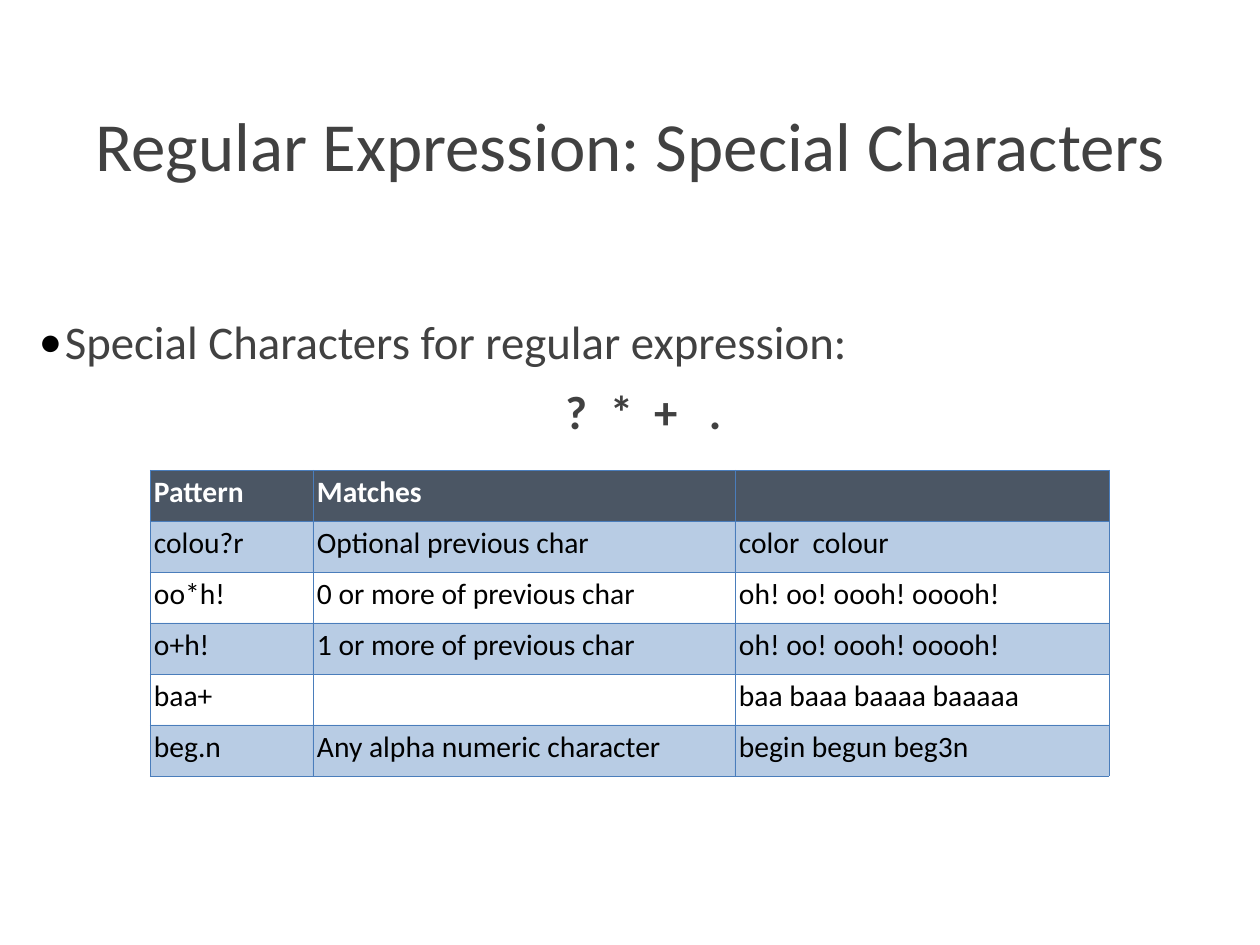
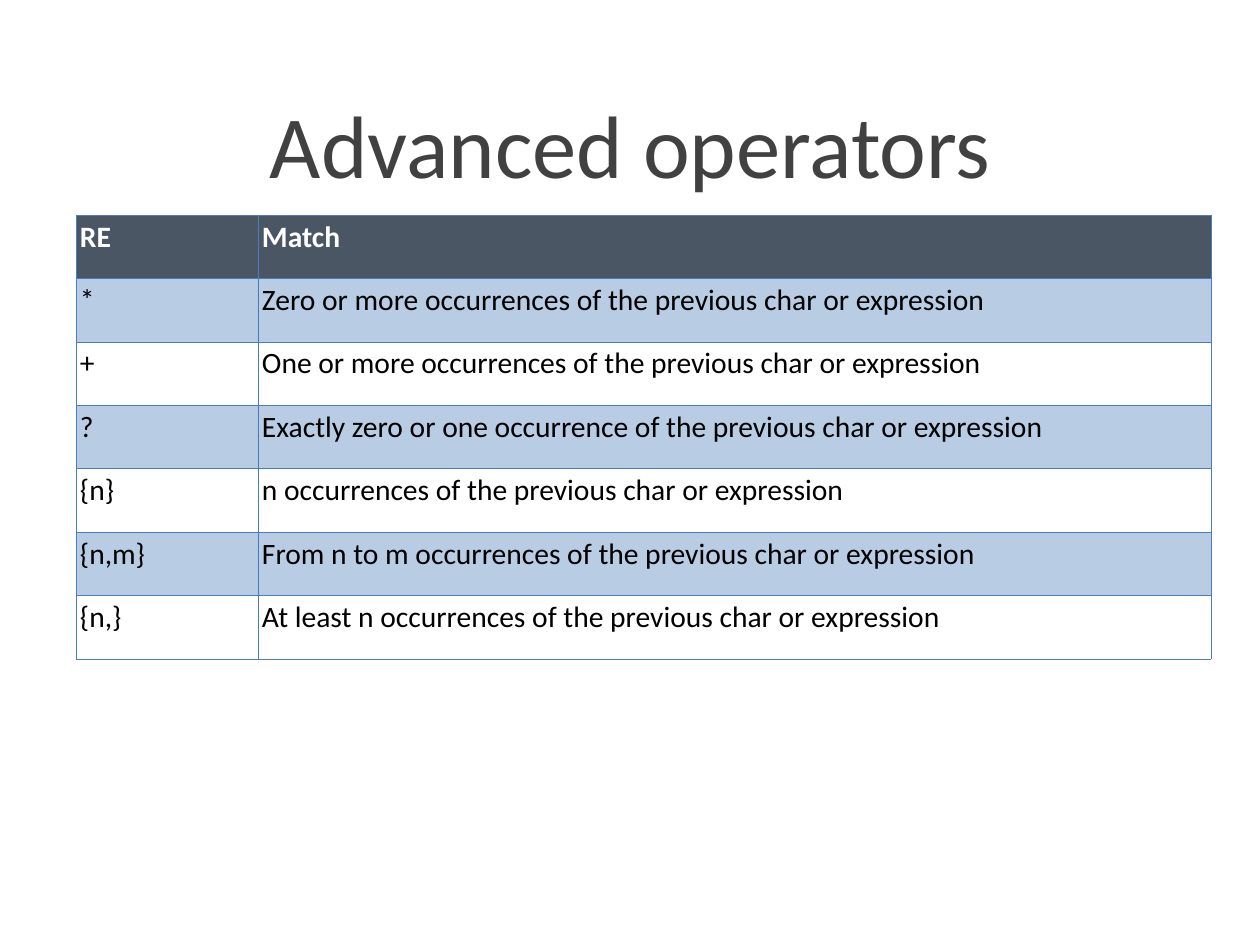
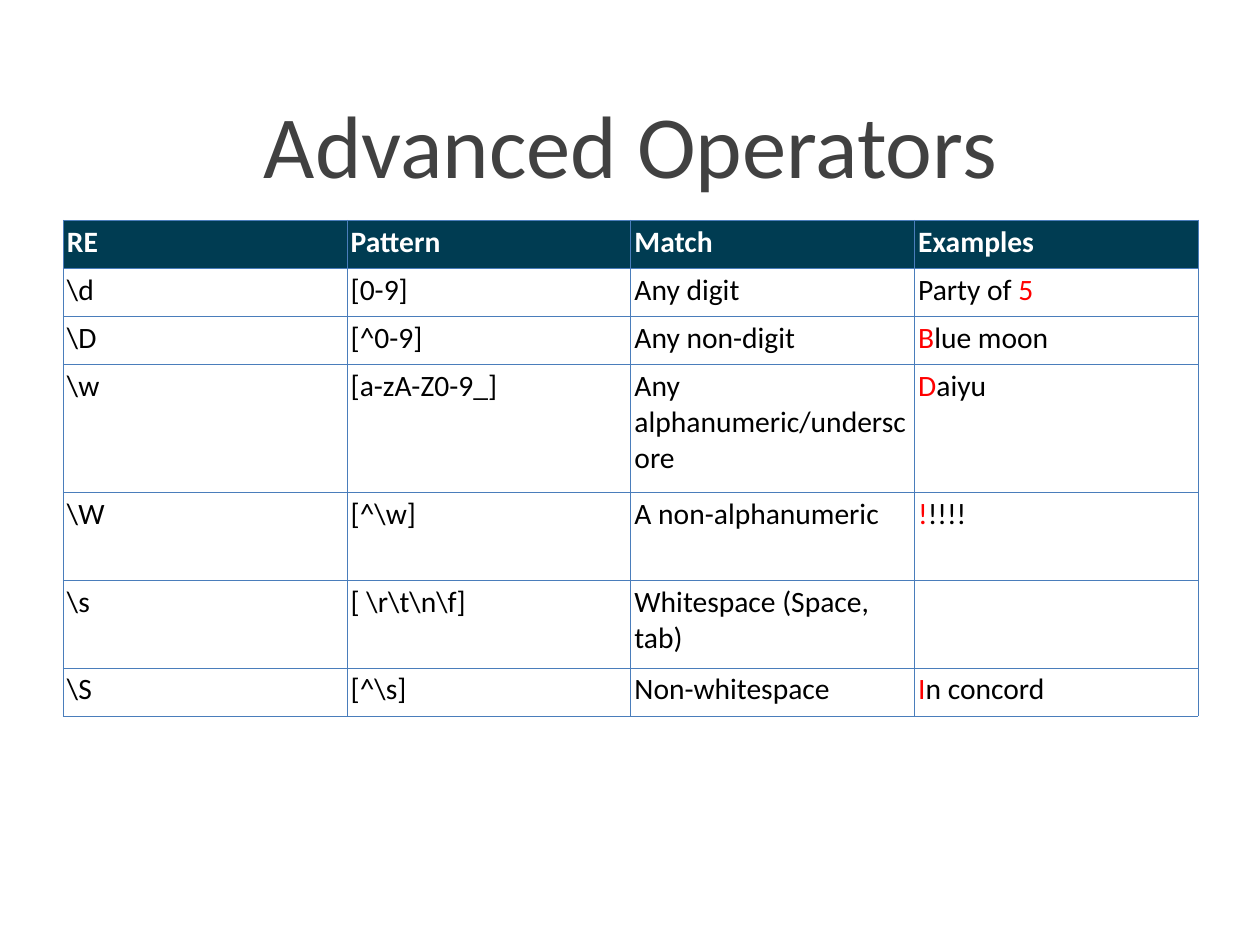
import dataclasses

import lxml.etree
import pptx
import pptx.dml.color
import pptx.enum.text
import pptx.oxml
import pptx.oxml.ns
import pptx.util

PX = 10320  # EMU per px
RGB = pptx.dml.color.RGBColor.from_string
qn = pptx.oxml.ns.qn


@dataclasses.dataclass(frozen=True)
class Theme:
    font: str = "Calibri"
    heading: str = "414141"
    ink: str = "000000"
    header_ink: str = "FFFFFF"
    match: str = "FF0000"
    slate: str = "4B5664"
    navy: str = "003C52"
    band: str = "4F81BD"
    band_alpha: int = 40000
    border: str = "4A7DBB"
    border_pt: float = 0.34
    long_title_pt: int = 56
    title_pt: int = 72
    body_pt: int = 38
    table_pt: int = 24
    inset: int = 4 * PX


theme = Theme()
prs = pptx.Presentation()
prs.slide_width, prs.slide_height = 1260 * PX, 945 * PX


def add_run(paragraph, text, size, color, bold=False):
    run = paragraph.add_run()
    run.text = text
    run.font.name = theme.font
    run.font.size = pptx.util.Pt(size)
    run.font.bold = bold
    run.font.color.rgb = RGB(color)


def add_grid(slide, left, top, widths, heights, rows, header_fill, banded):
    table = slide.shapes.add_table(
        len(rows), len(widths), left * PX, top * PX,
        round(sum(widths) * PX), round(sum(heights) * PX)).table
    table.first_row = table.horz_banding = False
    for column, width in zip(table.columns, widths):
        column.width = round(width * PX)
    for r, (row, height) in enumerate(zip(rows, heights)):
        table.rows[r].height = round(height * PX)
        ink = theme.ink if r else theme.header_ink
        for c, content in enumerate(row):
            cell = table.cell(r, c)
            cell.margin_left = cell.margin_right = theme.inset
            cell.margin_top = cell.margin_bottom = theme.inset
            # Plain text is one run; a list gives (text, colour) runs
            runs = [(content, ink)] if isinstance(content, str) else content
            for text, color in runs:
                if text:
                    add_run(cell.text_frame.paragraphs[0], text, theme.table_pt, color, r == 0)
            # Fill: header, translucent band or none
            if r and not (banded and r % 2):
                cell.fill.background()
            else:
                cell.fill.solid()
                cell.fill.fore_color.rgb = RGB(theme.band if r else header_fill)
            properties = cell._tc.get_or_add_tcPr()
            if r and banded and r % 2:
                color_element = properties.find(".//" + qn("a:srgbClr"))
                lxml.etree.SubElement(color_element, qn("a:alpha"), val=str(theme.band_alpha))
            # Borders come before the fill
            for position, side in enumerate(("lnL", "lnR", "lnT", "lnB")):
                line = lxml.etree.Element(
                    qn("a:" + side), w=str(pptx.util.Pt(theme.border_pt)))
                solid = lxml.etree.SubElement(line, qn("a:solidFill"))
                lxml.etree.SubElement(solid, qn("a:srgbClr"), val=theme.border)
                properties.insert(position, line)


# Slides and their titles
slides = []
for heading, size in (
        ("Regular Expression: Special Characters", theme.long_title_pt),
        ("Advanced operators", theme.title_pt),
        ("Advanced Operators", theme.title_pt)):
    slide = prs.slides.add_slide(prs.slide_layouts[5])
    title = slide.shapes.title
    title.left, title.top, title.width, title.height = 35 * PX, 25 * PX, 1191 * PX, 237 * PX
    frame = title.text_frame
    frame.auto_size = pptx.enum.text.MSO_AUTO_SIZE.NONE
    frame.vertical_anchor = pptx.enum.text.MSO_ANCHOR.MIDDLE
    frame.margin_left = frame.margin_right = theme.inset
    frame.margin_top = frame.margin_bottom = theme.inset
    frame.paragraphs[0].alignment = pptx.enum.text.PP_ALIGN.CENTER
    add_run(frame.paragraphs[0], heading, size, theme.heading)
    slides.append(slide)
special_slide, operators_slide, classes_slide = slides

# Special characters: bullet and the characters below it
body = special_slide.shapes.add_textbox(35 * PX, 309 * PX, 1191 * PX, 566 * PX).text_frame
body.word_wrap = True
body.margin_left = body.margin_right = theme.inset
body.margin_top = body.margin_bottom = theme.inset
intro = body.paragraphs[0]
characters = body.add_paragraph()
for paragraph in (intro, characters):
    properties = paragraph._p.get_or_add_pPr()
    properties.set("marL", str(26 * PX))
    properties.set("indent", str(-26 * PX))

properties = intro._p.get_or_add_pPr()
bullet_color = lxml.etree.SubElement(properties, qn("a:buClr"))
lxml.etree.SubElement(bullet_color, qn("a:srgbClr"), val=theme.ink)
lxml.etree.SubElement(properties, qn("a:buFont"), typeface=theme.font)
lxml.etree.SubElement(properties, qn("a:buChar"), char="•")
add_run(intro, "Special Characters for regular expression:", theme.body_pt, theme.heading)

tab_stops = lxml.etree.SubElement(characters._p.get_or_add_pPr(), qn("a:tabLst"))
for inch in range(8):
    lxml.etree.SubElement(tab_stops, qn("a:tab"), pos=str(pptx.util.Inches(inch)), algn="l")
characters.alignment = pptx.enum.text.PP_ALIGN.CENTER
characters.space_before = pptx.util.Pt(11)
add_run(characters, "\t? \t* \t+\t .", theme.body_pt, theme.heading, True)

# Special characters: patterns
add_grid(special_slide, 150, 470, [163, 422, 374], [51] * 6, [
    ("Pattern", "Matches", ""),
    ("colou?r", "Optional previous char", "color  colour"),
    ("oo*h!", "0 or more of previous char", "oh! oo! oooh! ooooh!"),
    ("o+h!", "1 or more of previous char", "oh! oo! oooh! ooooh!"),
    ("baa+", "", "baa baaa baaaa baaaaa"),
    ("beg.n", "Any alpha numeric character", "begin begun beg3n"),
], theme.slate, True)

# Advanced operators: repetition counts
add_grid(operators_slide, 76, 215, [182, 953], [444 / 7] * 7, [
    ("RE", "Match"),
    ("*", "Zero or more occurrences of the previous char or expression"),
    ("+", "One or more occurrences of the previous char or expression"),
    ("?", "Exactly zero or one occurrence of the previous char or expression"),
    ("{n}", "n occurrences of the previous char or expression"),
    ("{n,m}", "From n to m occurrences of the previous char or expression"),
    ("{n,}", "At least n occurrences of the previous char or expression"),
], theme.slate, True)

# Advanced operators: character classes, first match highlighted
add_grid(classes_slide, 63, 220, [1135 / 4] * 4, [48, 48, 48, 128, 88, 88, 48], [
    ("RE", "Pattern", "Match", "Examples"),
    (r"\d", "[0-9]", "Any digit", [("Party of ", theme.ink), ("5", theme.match)]),
    (r"\D", "[^0-9]", "Any non-digit", [("B", theme.match), ("lue moon", theme.ink)]),
    (r"\w", "[a-zA-Z0-9_]", "Any alphanumeric/underscore",
     [("D", theme.match), ("aiyu", theme.ink)]),
    (r"\W", r"[^\w]", "A non-alphanumeric", [("!", theme.match), ("!!!!", theme.ink)]),
    (r"\s", r"[ \r\t\n\f]", "Whitespace (Space, tab)", ""),
    (r"\S", r"[^\s]", "Non-whitespace", [("I", theme.match), ("n concord", theme.ink)]),
], theme.navy, False)

prs.save("out.pptx")
